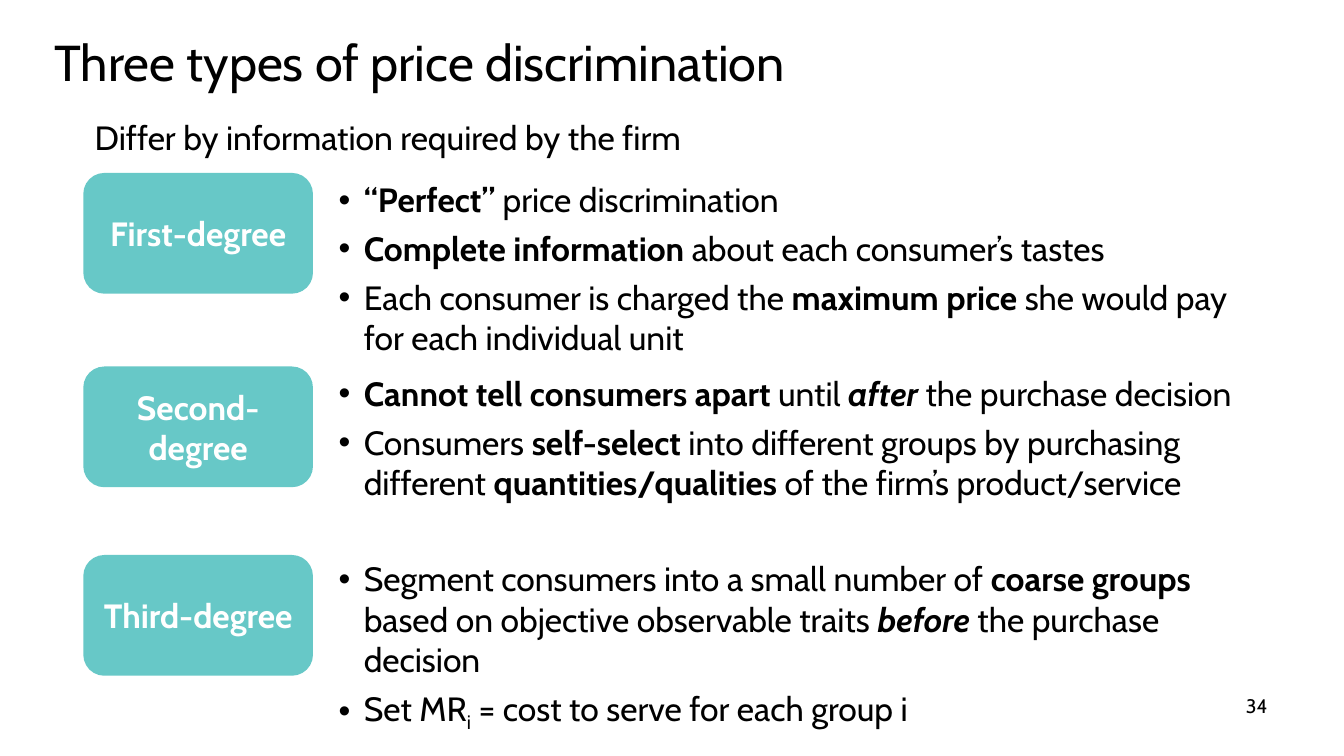
from dataclasses import dataclass
from typing import NamedTuple

from lxml.etree import SubElement
from pptx import Presentation
from pptx.dml.color import RGBColor
from pptx.enum.shapes import MSO_SHAPE
from pptx.enum.text import MSO_ANCHOR, PP_ALIGN
from pptx.oxml.ns import qn
from pptx.util import Pt

EMU_PER_PX = 9144  # 100 px to the inch
FONT = "Cabin"
BLACK, WHITE, TEAL = "000000", "FFFFFF", "67C8C7"
LABEL_LEFT, LABEL_WIDTH, LABEL_HEIGHT = 84, 225, 117
BULLETS_LEFT, BULLETS_WIDTH = 326, 906
BULLET_INDENT = 25


class Span(NamedTuple):
    text: str
    bold: bool = False
    italic: bool = False
    subscript: bool = False


@dataclass
class Degree:
    label: str
    label_top: int
    bullets_top: int
    bullets_height: int
    bullets: list[list[Span]]


DEGREES = [
    Degree("First-degree", 173, 173, 188, [
        [Span("“Perfect” ", bold=True), Span("price discrimination")],
        [Span("Complete information ", bold=True), Span("about each consumer’s tastes")],
        [Span("Each consumer is charged the "), Span("maximum price ", bold=True),
         Span("she would pay for each individual unit")],
    ]),
    Degree("Second-degree", 365, 365, 180, [
        [Span("Cannot tell consumers apart", bold=True), Span(" until "),
         Span("after ", bold=True, italic=True), Span("the purchase decision")],
        [Span("Consumers "), Span("self-select ", bold=True),
         Span("into different groups by purchasing different "),
         Span("quantities/qualities ", bold=True),
         Span("of the firm’s product/service")],
    ]),
    Degree("Third-degree", 552, 549, 180, [
        [Span("Segment consumers into a small number of "),
         Span("coarse groups", bold=True),
         Span(" based on objective observable traits "),
         Span("before ", bold=True, italic=True), Span("the purchase decision")],
        [Span("Set MR"), Span("i", subscript=True),
         Span(" = cost to serve for each group i")],
    ]),
]


def px(length: int) -> int:
    return length * EMU_PER_PX


def rgb(color: str) -> RGBColor:
    return RGBColor.from_string(color)


def add_bullet(paragraph) -> None:
    properties = paragraph._p.get_or_add_pPr()
    properties.set("marL", str(px(BULLET_INDENT)))
    properties.set("indent", str(-px(BULLET_INDENT)))
    SubElement(properties, qn("a:buFont")).set("typeface", "Arial")
    SubElement(properties, qn("a:buChar")).set("char", "•")


def write_text(shape, paragraphs: list[list[Span]], *, size: int = 24,
               color: str = BLACK, align=PP_ALIGN.LEFT, anchor=MSO_ANCHOR.TOP,
               space_after: int = 0, bulleted: bool = False) -> None:
    frame = shape.text_frame
    frame.word_wrap = True
    frame.vertical_anchor = anchor
    for index, spans in enumerate(paragraphs):
        paragraph = frame.add_paragraph() if index else frame.paragraphs[0]
        paragraph.alignment = align
        paragraph.space_after = Pt(space_after)
        if bulleted:
            add_bullet(paragraph)
        for span in spans:
            run = paragraph.add_run()
            run.text = span.text
            font = run.font
            font.name, font.size = FONT, Pt(size)
            font.bold, font.italic = span.bold, span.italic
            font.color.rgb = rgb(color)
            if span.subscript:
                run._r.get_or_add_rPr().set("baseline", "-25000")


def add_text(shapes, left: int, top: int, width: int, height: int,
             paragraphs: list[list[Span]], **text_format) -> None:
    box = shapes.add_textbox(px(left), px(top), px(width), px(height))
    write_text(box, paragraphs, **text_format)


def add_label(shapes, text: str, top: int) -> None:
    label = shapes.add_shape(MSO_SHAPE.ROUNDED_RECTANGLE, px(LABEL_LEFT), px(top),
                             px(LABEL_WIDTH), px(LABEL_HEIGHT))
    label.shadow.inherit = False
    label.fill.solid()
    label.fill.fore_color.rgb = rgb(TEAL)
    label.line.color.rgb = rgb(TEAL)
    label.line.width = Pt(2)
    write_text(label, [[Span(text, bold=True)]], color=WHITE,
               align=PP_ALIGN.CENTER, anchor=MSO_ANCHOR.MIDDLE)


def add_degree(slide, degree: Degree) -> None:
    """Group a degree's bullets with its label."""
    shapes = slide.shapes.add_group_shape().shapes
    add_text(shapes, BULLETS_LEFT, degree.bullets_top, BULLETS_WIDTH,
             degree.bullets_height, degree.bullets, space_after=6, bulleted=True)
    add_label(shapes, degree.label, degree.label_top)


def main() -> None:
    presentation = Presentation()
    presentation.slide_width, presentation.slide_height = px(1333), px(750)
    slide = presentation.slides.add_slide(presentation.slide_layouts[6])
    add_text(slide.shapes, 44, 25, 1200, 71,
             [[Span("Three types of price discrimination")]],
             size=36, anchor=MSO_ANCHOR.MIDDLE)
    add_text(slide.shapes, 956, 683, 311, 52, [[Span("34")]],
             size=14, align=PP_ALIGN.RIGHT)
    for degree in DEGREES:
        add_degree(slide, degree)
    add_text(slide.shapes, LABEL_LEFT, 111, 1033, 50,
             [[Span("Differ by information required by the firm")]], space_after=12)
    presentation.save("out.pptx")


if __name__ == "__main__":
    main()
